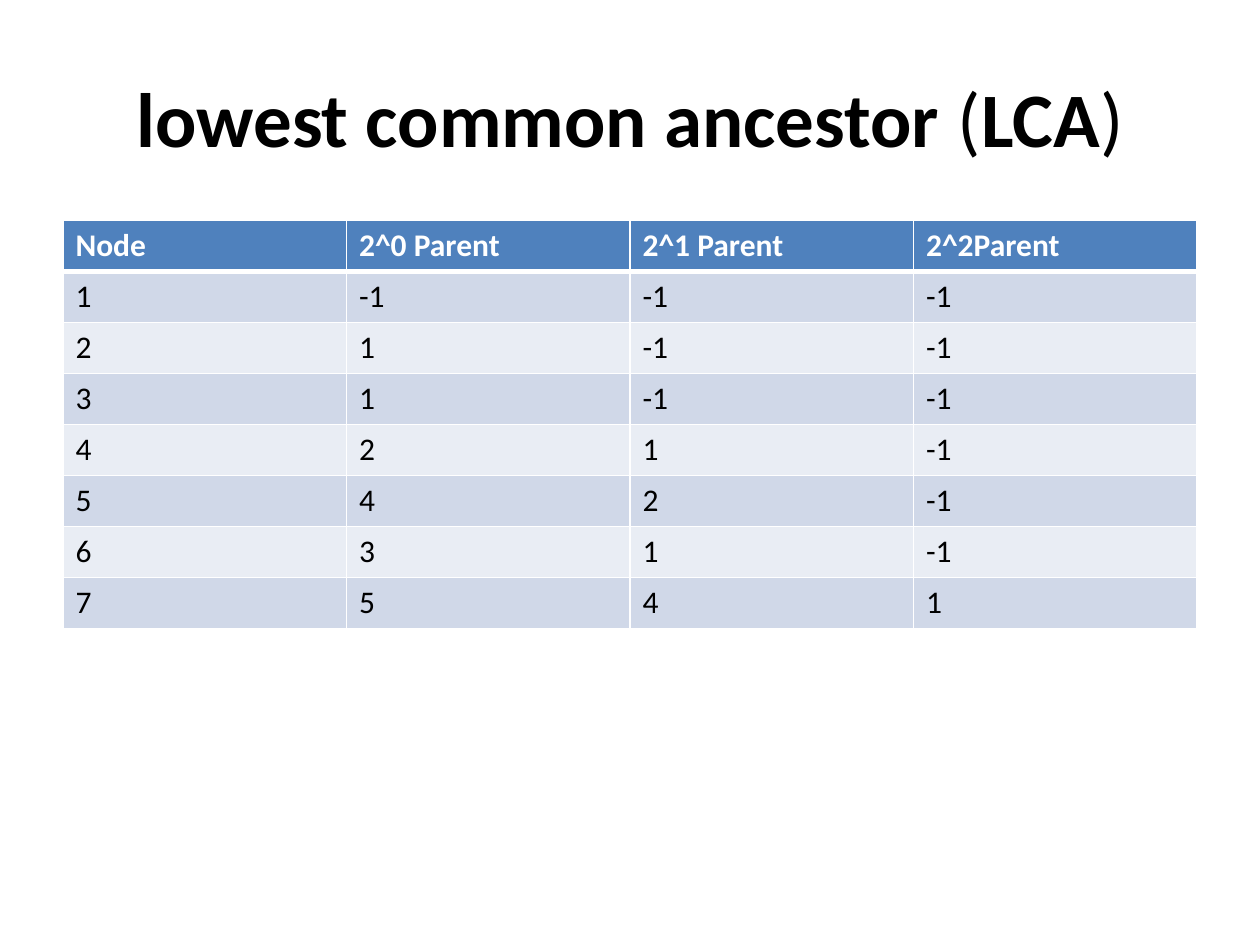
from lxml.etree import SubElement
from pptx import Presentation
from pptx.dml.color import RGBColor as RGB
from pptx.enum.text import MSO_ANCHOR as Anchor, PP_ALIGN as Align
from pptx.oxml.ns import qn
from pptx.util import Inches, Pt

WHITE = RGB(0xFF, 0xFF, 0xFF)
BLACK = RGB(0x00, 0x00, 0x00)
HEADER_BLUE = RGB(0x4F, 0x81, 0xBD)
BAND_DARK = RGB(0xD0, 0xD8, 0xE8)
BAND_LIGHT = RGB(0xE9, 0xED, 0xF4)

TITLE_RUNS = [("lowest common ancestor", True), (" (", False),
              ("LCA", True), (")", False)]
PARENT_ROWS = [
    ("Node", "2^0 Parent", "2^1 Parent", "2^2Parent"),
    (1, -1, -1, -1),
    (2, 1, -1, -1),
    (3, 1, -1, -1),
    (4, 2, 1, -1),
    (5, 4, 2, -1),
    (6, 3, 1, -1),
    (7, 5, 4, 1),
]


class SlideBuilder:
    """Holds the style and the slide; lengths are grid columns and rows."""

    FONT = "Calibri"
    COLUMNS, ROWS = 20, 150

    def __init__(self, deck):
        self.slide = deck.slides.add_slide(deck.slide_layouts[6])
        self.column = deck.slide_width / self.COLUMNS
        self.row = deck.slide_height / self.ROWS

    def area(self, left, top, width, height):
        return (round(left * self.column), round(top * self.row),
                round(width * self.column), round(height * self.row))

    def add_text(self, paragraph, text, color, **style):
        run = paragraph.add_run()
        run.text = text
        for name, value in {"name": self.FONT, **style}.items():
            setattr(run.font, name, value)
        run.font.color.rgb = color

    def title(self, runs, *place):
        frame = self.slide.shapes.add_textbox(*self.area(*place)).text_frame
        frame.word_wrap = True
        frame.vertical_anchor = Anchor.MIDDLE
        heading = frame.paragraphs[0]
        heading.alignment = Align.CENTER
        for text, bold in runs:
            self.add_text(heading, text, BLACK, size=Pt(44), bold=bold)

    def borders(self, cell, **widths):
        properties = cell._tc.get_or_add_tcPr()
        for position, side in enumerate("LRTB"):
            line = SubElement(properties, qn(f"a:ln{side}"),
                              w=str(Pt(widths.get(side, 1))))
            fill = SubElement(line, qn("a:solidFill"))
            SubElement(fill, qn("a:srgbClr"), val=str(WHITE))
            # Border lines must come before the cell fill
            properties.insert(position, line)

    def table(self, rows, *place):
        area = self.area(*place)
        grid = self.slide.shapes.add_table(len(rows), len(rows[0]), *area).table
        for line in grid.rows:
            line.height = round(area[3] / len(rows))
        for r, values in enumerate(rows):
            header = r == 0
            band = HEADER_BLUE if header else (BAND_LIGHT, BAND_DARK)[r % 2]
            # A thick rule separates the header from the body
            rule = {0: {"B": 3}, 1: {"T": 3}}.get(r, {})
            for c, value in enumerate(values):
                cell = grid.cell(r, c)
                cell.fill.solid()
                cell.fill.fore_color.rgb = band
                self.borders(cell, **rule)
                self.add_text(cell.text_frame.paragraphs[0], str(value),
                              WHITE if header else BLACK,
                              size=Pt(18), bold=header)


def main():
    deck = Presentation()
    deck.slide_width, deck.slide_height = Inches(10), Inches(7.5)
    builder = SlideBuilder(deck)

    # Heading
    builder.title(TITLE_RUNS, 1, 6, 18, 25)

    # Ancestors of each node at power-of-two distances
    builder.table(PARENT_ROWS, 1, 35, 18, 64.8)

    deck.save("out.pptx")


if __name__ == "__main__":
    main()
